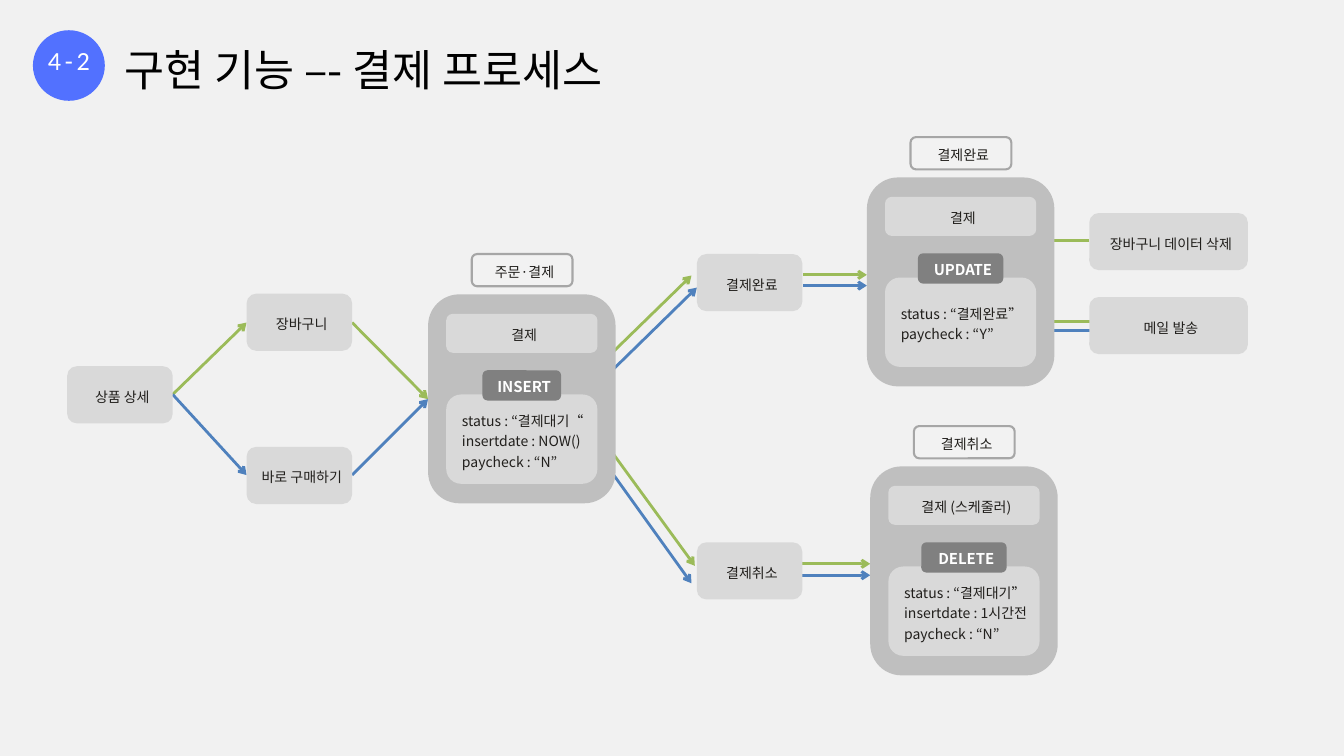
from lxml import etree
from pptx import Presentation
from pptx.dml.color import RGBColor
from pptx.enum.shapes import MSO_CONNECTOR, MSO_SHAPE
from pptx.enum.text import MSO_ANCHOR, PP_ALIGN
from pptx.oxml.ns import qn
from pptx.util import Inches, Pt

RECT, ROUND, OVAL = MSO_SHAPE.RECTANGLE, MSO_SHAPE.ROUNDED_RECTANGLE, MSO_SHAPE.OVAL
STRAIGHT = MSO_CONNECTOR.STRAIGHT
LEFT, CENTER = PP_ALIGN.LEFT, PP_ALIGN.CENTER
MIDDLE = MSO_ANCHOR.MIDDLE
FONT = "Noto Sans CJK KR"
COLORS = {
    "page": "F1F1F1", "box": "D9D9D9", "panel": "BFBFBF", "query": "808080",
    "label": "F2F2F2", "border": "A6A6A6", "ink": "211F1C", "white": "FFFFFF",
    "black": "000000", "badge": "5271FF", "cart": "9BBB59", "direct": "4F81BD",
}


def rgb(name):
    return RGBColor.from_string(COLORS[name])


def add_box(left, top, width, height, fill, lines=(), kind=ROUND, align=CENTER,
            size=15, ink="ink", bold=None, border=None, right_margin=0.1):
    box = slide.shapes.add_shape(kind, Inches(left), Inches(top), Inches(width), Inches(height))
    box.shadow.inherit = False
    box.fill.solid()
    box.fill.fore_color.rgb = rgb(fill)
    if border:
        box.line.color.rgb = rgb(border)
        box.line.width = Pt(2.25)
    else:
        box.line.fill.background()
    frame = box.text_frame
    frame.word_wrap = True
    frame.vertical_anchor = MIDDLE
    frame.margin_left, frame.margin_right = Inches(0.08), Inches(right_margin)
    frame.margin_top = frame.margin_bottom = Inches(0.05)
    for index, line in enumerate(lines):
        paragraph = frame.add_paragraph() if index else frame.paragraphs[0]
        paragraph.text = line
        paragraph.alignment = align
        paragraph.line_spacing = Pt(22)
        paragraph._p.get_or_add_pPr().set("marL", str(Inches(0.09)))
        paragraph.font.name = FONT
        paragraph.font.size = Pt(size)
        paragraph.font.bold = bold
        paragraph.font.color.rgb = rgb(ink)
        etree.SubElement(paragraph.font._element, qn("a:ea"), typeface=FONT)


prs = Presentation()
prs.slide_width, prs.slide_height = Inches(20), Inches(11.25)
slide = prs.slides.add_slide(prs.slide_layouts[6])
add_box(0, 0, 20, 11.25, "page", kind=RECT)

flows = [
    ("cart", 2.57, 5.87, 3.67, 4.8, True),
    ("direct", 2.57, 5.87, 3.67, 7.07, True),
    ("cart", 5.24, 4.8, 6.37, 5.94, True),
    ("direct", 5.24, 7.07, 6.37, 5.94, True),
    ("direct", 8.61, 6, 10.37, 4.28, True),
    ("cart", 8.7, 6.17, 10.34, 8.42, True),
    ("cart", 8.72, 5.63, 10.29, 4.1, True),
    ("direct", 8.61, 6.34, 10.29, 8.68, True),
    ("direct", 16.24, 4.92, 15.42, 4.92, False),
    ("cart", 16.41, 4.79, 15.59, 4.79, False),
    ("cart", 16.21, 3.58, 15.69, 3.58, False),
    ("cart", 11.95, 4.09, 12.9, 4.09, True),
    ("direct", 11.95, 4.25, 12.9, 4.25, True),
    ("cart", 11.71, 8.39, 12.95, 8.39, True),
    ("direct", 11.71, 8.56, 12.95, 8.56, True),
]
for route, x1, y1, x2, y2, arrow in flows:
    flow = slide.shapes.add_connector(STRAIGHT, Inches(x1), Inches(y1), Inches(x2), Inches(y2))
    flow.line.color.rgb = rgb(route)
    flow.line.width = Pt(3)
    if arrow:
        etree.SubElement(flow.line._get_or_add_ln(), qn("a:tailEnd"), type="arrow")
    etree.SubElement(flow._element.spPr, qn("a:effectLst"))

steps = [
    (1, 5.45, 1.57, "상품 상세"),
    (3.67, 4.37, 1.57, "장바구니"),
    (3.67, 6.65, 1.57, "바로 구매하기"),
    (10.37, 3.78, 1.57, "결제완료"),
    (10.37, 8.07, 1.57, "결제취소"),
    (16.21, 3.17, 2.36, "장바구니 데이터 삭제"),
    (16.21, 4.42, 2.36, "메일 발송"),
]
for left, top, width, step in steps:
    add_box(left, top, width, 0.85, "box", [step])

PANEL_WIDTH = 2.79
panels = [
    (6.37, 4.38, "주문·결제", "결제", "INSERT", 1.17,
     ["status : “결제대기“", "insertdate : NOW()", "paycheck : “N”"]),
    (12.9, 2.64, "결제완료", "결제", "UPDATE", 1.27,
     ["status : “결제완료”", "paycheck : “Y”"]),
    (12.95, 6.94, "결제취소", "결제 (스케줄러)", "DELETE", 1.27,
     ["status : “결제대기”\vinsertdate : 1시간전", "paycheck : “N”"]),
]
for left, top, label, table, query, query_width, values in panels:
    add_box(left, top, PANEL_WIDTH, 3.11, "panel")
    add_box(left + 0.27, top + 0.29, 2.25, 0.58, "box", [table])
    add_box(left + 0.27, top + 1.49, 2.25, 1.33, "box", values, align=LEFT, right_margin=0.02)
    add_box(left + (PANEL_WIDTH - query_width) / 2, top + 1.13, query_width, 0.45, "query",
            [query], size=16, ink="white", bold=True)
    add_box(left + 0.65, top - 0.6, 1.5, 0.48, "label", [label], border="border")

add_box(0.49, 0.45, 1.07, 1.05, "badge", kind=OVAL)

headings = [
    (1.86, 0.47, 8.39, 0.9, "구현 기능 –- 결제 프로세스", FONT, 46.6, 68.5, "black", 0),
    (0.49, 0.17, 1.07, 1.33, "4-2", "Calibri", 28, 41.1, "white", 0.04),
]
for left, top, width, height, words, font, size, spacing, ink, margin in headings:
    heading = slide.shapes.add_textbox(Inches(left), Inches(top), Inches(width), Inches(height))
    frame = heading.text_frame
    frame.word_wrap = True
    frame.margin_left = frame.margin_right = Inches(margin)
    frame.margin_top = frame.margin_bottom = Inches(margin)
    paragraph = frame.paragraphs[0]
    paragraph.text = words
    paragraph.line_spacing = Pt(spacing)
    paragraph.font.name = font
    paragraph.font.size = Pt(size)
    paragraph.font.color.rgb = rgb(ink)
    etree.SubElement(paragraph.font._element, qn("a:ea"), typeface=font)

frame.vertical_anchor = MIDDLE
paragraph.alignment = CENTER
paragraph.runs[0].font._element.set("spc", "410")

prs.save("out.pptx")
